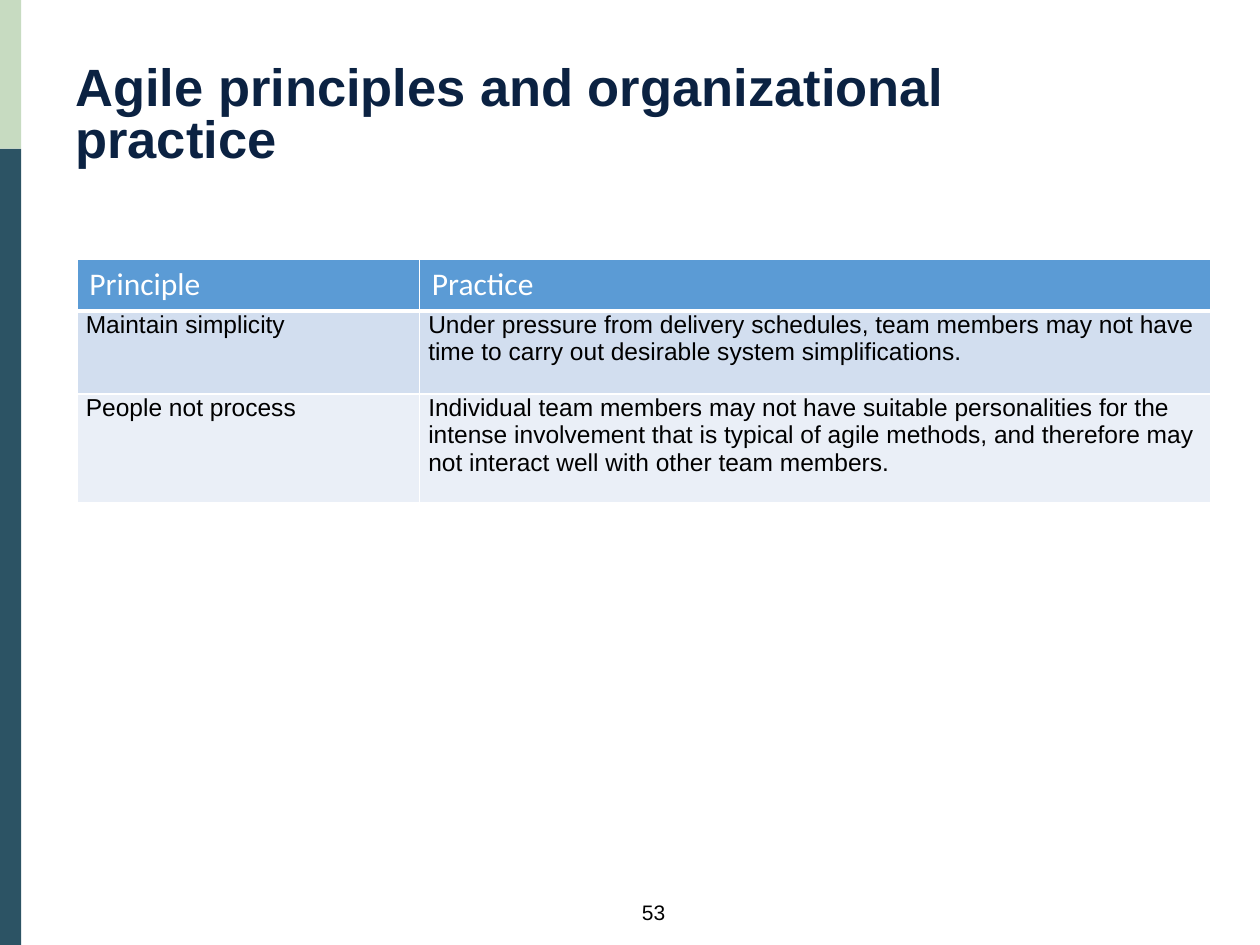
from dataclasses import dataclass

from lxml import etree
from pptx import Presentation
from pptx.dml.color import RGBColor
from pptx.enum import shapes, text
from pptx.oxml import ns
from pptx.util import Cm, Pt


@dataclass(frozen=True)
class Theme:
    title: str = "0B2242"
    body: str = "000000"
    white: str = "FFFFFF"
    header: str = "5B9BD5"
    bands: tuple = ("D2DEEF", "EAEFF7")
    rail_top: str = "C7DBC1"
    rail_bottom: str = "2C5364"
    font: str = "Arial"
    header_font: str = "Calibri"
    title_size: int = 30
    header_size: int = 18
    body_size: int = 14
    number_size: int = 12


THEME = Theme()
HEADINGS = ("Principle", "Practice")
PRACTICES = (
    ("Maintain simplicity",
     "Under pressure from delivery schedules, team members may not have "
     "time to carry out desirable system simplifications."),
    ("People not process",
     "Individual team members may not have suitable personalities for the "
     "intense involvement that is typical of agile methods, and therefore "
     "may not interact well with other team members."),
)
COLUMN_SHARES = (0.302, 0.698)
ROW_HEIGHTS = (Cm(1.04), Cm(1.67), Cm(2.2))


def rgb(value):
    return RGBColor.from_string(value)


def style(p, size, color, name=THEME.font, bold=False):
    for r in p.runs:
        r.font.name = name
        r.font.size = Pt(size)
        r.font.bold = bold
        r.font.color.rgb = rgb(color)


def add_text(s, box, content):
    tf = s.shapes.add_textbox(*box).text_frame
    tf.word_wrap = True
    tf.text = content
    return tf.paragraphs[0]


def add_rail(s, left, top, width, height):
    top_height = Cm(3)
    parts = ((top, top_height, THEME.rail_top),
             (top + top_height, height - top_height, THEME.rail_bottom))
    for y, h, color in parts:
        sp = s.shapes.add_shape(shapes.MSO_SHAPE.RECTANGLE, left, y, width, h)
        sp.shadow.inherit = False
        sp.fill.solid()
        sp.fill.fore_color.rgb = rgb(color)
        sp.line.fill.background()


def add_title(s, box, content):
    p = add_text(s, box, content)
    p.line_spacing = Pt(30)
    style(p, THEME.title_size, THEME.title, bold=True)


def add_number(s, box, content):
    p = add_text(s, box, content)
    p.alignment = text.PP_ALIGN.CENTER
    style(p, THEME.number_size, THEME.body)


def set_borders(cell, bottom, top):
    tc_pr = cell._tc.get_or_add_tcPr()
    widths = (("lnL", 1), ("lnR", 1), ("lnT", top), ("lnB", bottom))
    for i, (side, width) in enumerate(widths):
        ln = etree.Element(ns.qn(f"a:{side}"), w=str(Pt(width)))
        fill = etree.SubElement(ln, ns.qn("a:solidFill"))
        etree.SubElement(fill, ns.qn("a:srgbClr"), val=THEME.white)
        tc_pr.insert(i, ln)


def fill_cell(cell, content, color):
    cell.fill.solid()
    cell.fill.fore_color.rgb = rgb(color)
    cell.text = content
    return cell.text_frame.paragraphs[0]


def add_practice_table(s, left, top, width):
    table = s.shapes.add_table(len(ROW_HEIGHTS), len(HEADINGS), left, top,
                               width, sum(ROW_HEIGHTS)).table
    for column, share in zip(table.columns, COLUMN_SHARES):
        column.width = int(width * share)
    for row, height in zip(table.rows, ROW_HEIGHTS):
        row.height = height
    for cell, heading in zip(table.rows[0].cells, HEADINGS):
        p = fill_cell(cell, heading, THEME.header)
        style(p, THEME.header_size, THEME.white, THEME.header_font)
        set_borders(cell, bottom=3, top=1)
    for i, practice in enumerate(PRACTICES):
        for cell, content in zip(table.rows[i + 1].cells, practice):
            p = fill_cell(cell, content, THEME.bands[i % 2])
            style(p, THEME.body_size, THEME.body)
            cell.margin_left = cell.margin_right = Cm(0.18)
            cell.margin_top = cell.margin_bottom = 0
            set_borders(cell, bottom=1, top=1 if i else 3)


def main():
    prs = Presentation()
    prs.slide_width, prs.slide_height = Cm(25.4), Cm(19.05)
    s = prs.slides.add_slide(prs.slide_layouts[6])
    add_number(s, (Cm(11.23), Cm(18), Cm(3.89), Cm(0.76)), "53")
    add_rail(s, 0, 0, Cm(0.43), prs.slide_height)
    add_title(s, (Cm(1.27), Cm(1.17), Cm(21.23), Cm(1.73)),
              "Agile principles and organizational practice")
    add_practice_table(s, Cm(1.55), Cm(5.23), Cm(22.86))
    prs.save("out.pptx")


if __name__ == "__main__":
    main()
